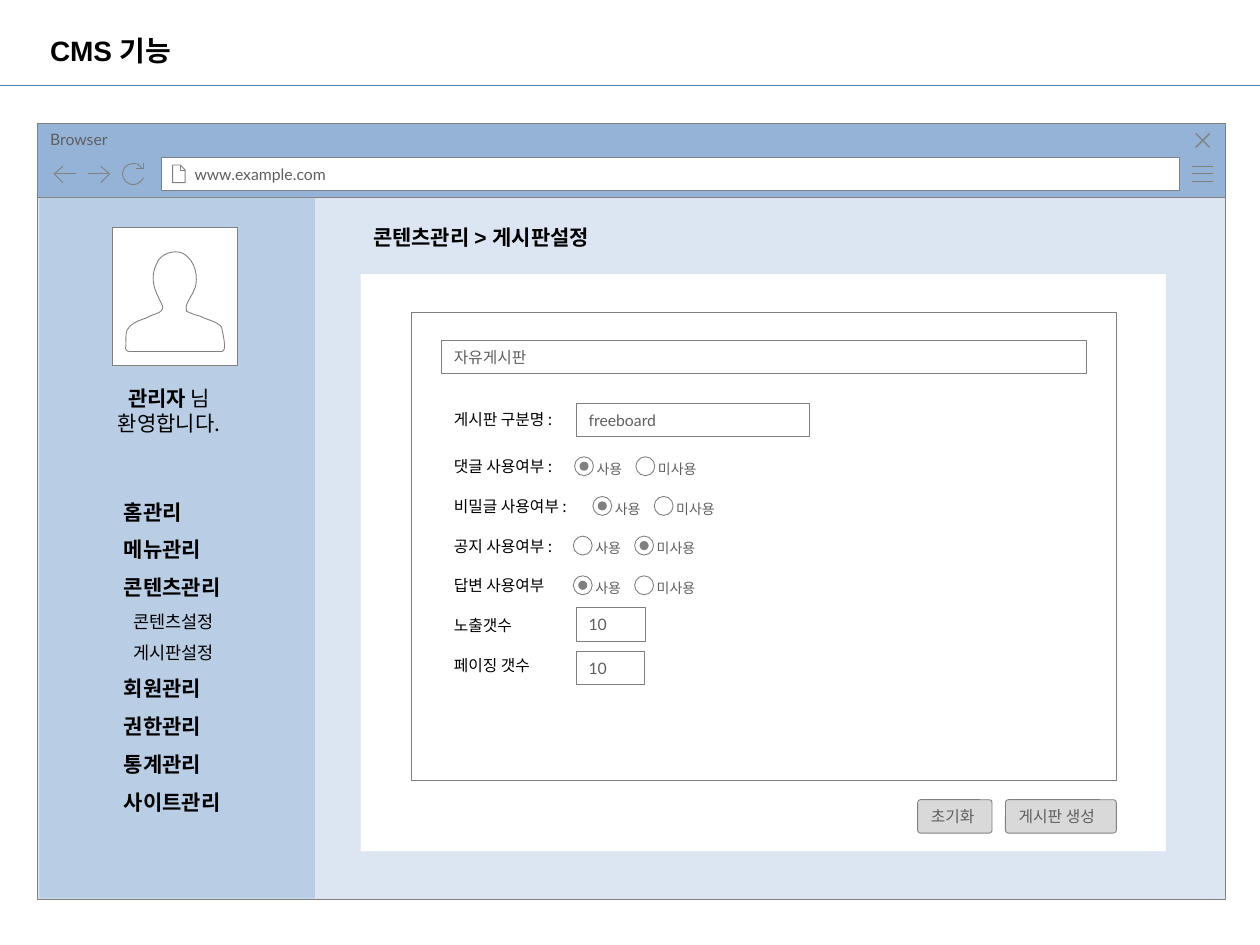
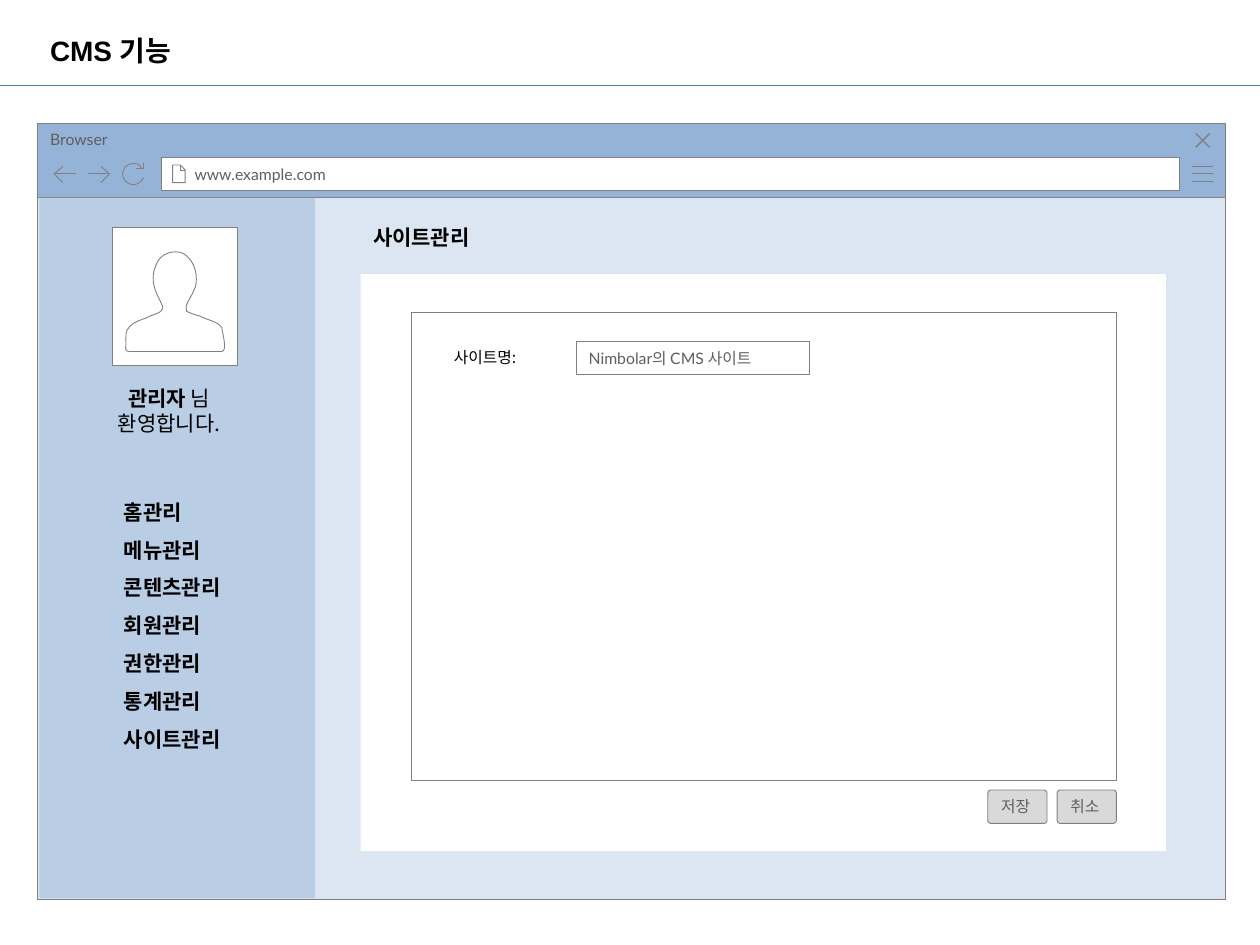
from copy import deepcopy
from lxml import etree
from pptx import Presentation
from pptx import util as u
from pptx.dml.color import RGBColor
from pptx.enum import shapes as kinds, text as txt
from pptx.oxml.ns import qn

WHITE = RGBColor(0xFF, 0xFF, 0xFF)
BLACK = RGBColor(0, 0, 0)
GREY = RGBColor(0x80, 0x80, 0x80)
INK = RGBColor(0x5F, 0x5F, 0x5F)
PAGE = RGBColor(0xDC, 0xE6, 0xF2)
TOOLBAR = RGBColor(0x95, 0xB3, 0xD7)
SIDEBAR = RGBColor(0xB9, 0xCD, 0xE5)
BUTTON = RGBColor(0xD9, 0xD9, 0xD9)
RULE = RGBColor(0x4B, 0x7E, 0xBC)
HANGUL = "Noto Sans CJK KR"
RECT = kinds.MSO_SHAPE.RECTANGLE
ROUND = kinds.MSO_SHAPE.ROUNDED_RECTANGLE
OVAL = kinds.MSO_SHAPE.OVAL

FIELD_TEXT = ("Lato", 9, INK, False)
RADIO_TEXT = ("Lato", 8, INK, False)
LABEL = (HANGUL, 9, BLACK, False)
MENU = (HANGUL, 12, BLACK, True)
SUBMENU = ("Arial", 10, BLACK, False)
WELCOME = (HANGUL, 12, BLACK, False)
HEADING = ("Arial", 12, BLACK, True)
TITLE = ("Arial", 16, BLACK, True)

deck = Presentation()
deck.slide_width, deck.slide_height = u.Inches(10), u.Inches(7.5)
CELL = deck.slide_width // 100


def box(parent, kind, bounds, fill=None, border=GREY, lines=(), fit=False,
        insets=(1, 0.5, 1, 0.5), anchor=txt.MSO_ANCHOR.MIDDLE):
    area = [round(v * CELL) for v in bounds]
    if kind is None:
        shape = parent.add_textbox(*area)
    else:
        shape = parent.add_shape(kind, *area)
        shape.shadow.inherit = False
        shape.fill.solid()
        shape.fill.fore_color.rgb = fill
        if border is None:
            shape.line.fill.background()
        else:
            shape.line.color.rgb = border
            shape.line.width = u.Pt(0.5)
    if not lines:
        return shape
    frame = shape.text_frame
    frame.word_wrap = not fit
    frame.auto_size = txt.MSO_AUTO_SIZE.SHAPE_TO_FIT_TEXT if fit else txt.MSO_AUTO_SIZE.NONE
    frame.vertical_anchor = anchor
    frame.margin_left, frame.margin_top, frame.margin_right, frame.margin_bottom = (
        round(v * CELL) for v in insets)
    for i, line in enumerate(lines):
        paragraph = frame.add_paragraph() if i else frame.paragraphs[0]
        paragraph.alignment = txt.PP_ALIGN.LEFT
        for words, (face, size, colour, bold) in line:
            run = paragraph.add_run()
            run.text = words
            run.font.name, run.font.size, run.font.bold = face, u.Pt(size), bold
            run.font.color.rgb = colour
            etree.SubElement(run.font._element, qn("a:ea")).set("typeface", HANGUL)
    return shape


def trace(parent, strokes, fill=None, weight=0.5):
    builder = None
    curved = []
    for stroke in strokes:
        points = [stroke[0]]
        for segment in stroke[1:]:
            points += zip(segment[::2], segment[1::2])
            curved += [len(segment) == 6] * (len(segment) // 2)
        first, *rest = [(round(x * CELL), round(y * CELL)) for x, y in points]
        if builder is None:
            builder = parent.build_freeform(*first, scale=1.0)
        else:
            builder.move_to(*first)
        builder.add_line_segments(rest, close=fill is not None)
    shape = builder.convert_to_shape()
    steps = [step for step, bent in zip(list(shape.element.iter(qn("a:lnTo"))), curved) if bent]
    for start, middle, end in zip(steps[::3], steps[1::3], steps[2::3]):
        curve = etree.Element(qn("a:cubicBezTo"))
        start.addprevious(curve)
        for step in (start, middle, end):
            curve.append(step[0])
            step.getparent().remove(step)
    shape.shadow.inherit = False
    shape.line.color.rgb = GREY
    shape.line.width = u.Pt(weight)
    if fill is None:
        shape.fill.background()
    else:
        shape.fill.solid()
        shape.fill.fore_color.rgb = fill


MENU_ICON = [[(94.6, y), (96.3, y)] for y in (14.4, 13.8, 13.2)]
CLOSE = [[(96, 10.6), (94.9, 11.7)], [(94.9, 10.6), (96, 11.7)]]
DOCUMENT = [[(14.3, 13.1), (14.3, 13.5), (14.7, 13.5)],
            [(13.7, 13.1), (13.7, 14.5), (14.7, 14.5), (14.7, 13.5), (14.3, 13.1), (13.7, 13.1)]]
BACK = [[(5, 14.5), (4.3, 13.8), (5, 13.2)], [(4.4, 13.8), (6, 13.8)]]
FORWARD = [[(8, 13.2), (8.7, 13.8), (8, 14.5)], [(8.6, 13.8), (7, 13.8)]]
RELOAD = [[(11.4, 12.9), (11.4, 13.4), (10.8, 13.4)],
          [(11.4, 14.1), (11.2, 14.5, 10.7, 14.8, 10.3, 14.6), (9.8, 14.4, 9.6, 13.9, 9.8, 13.5),
           (9.9, 13.1, 10.4, 12.9, 10.9, 13), (11, 13.1, 11.2, 13.2, 11.3, 13.4)]]
PERSON = [[(17.6, 26), (17.3, 25.5, 16.4, 25.4, 15.9, 25.1), (15.5, 25, 15.2, 24.9, 14.8, 24.7),
           (14.6, 24.2, 15.1, 23.8, 15.5, 22.8), (15.7, 22.1, 15.6, 20.7, 14.5, 20.1),
           (13.8, 19.8, 12.7, 20.1, 12.4, 21), (11.7, 22.5, 12.7, 23.7, 12.9, 24.3),
           (13, 24.9, 12.1, 24.9, 11.7, 25.2), (11.2, 25.4, 10.7, 25.5, 10.3, 25.9),
           (9.9, 26.3, 10, 26.7, 10, 27.4), (9.9, 27.7, 10, 27.9, 10.3, 27.9),
           (12.8, 27.9, 14.9, 27.9, 17.6, 27.9), (18.1, 27.9, 17.6, 26.2, 17.6, 26)]]

SECTIONS = ["홈관리", "메뉴관리", "콘텐츠관리", "회원관리", "권한관리", "통계관리", "사이트관리"]
SUBSECTIONS = ["콘텐츠설정", "게시판설정"]
FIRST_ROW, ROW = 35.77, 3.15
LABEL_LEFT, FIELD_LEFT, CONTROL_HEIGHT = 35.04, 45.73, 2.65
board_labels = ["댓글 사용여부 :", "비밀글 사용여부 :", "공지 사용여부 :",
                "답변 사용여부", "노출갯수", "페이징 갯수"]
label_widths = [11.2, 12.5, 10.7, 10, 7.1, 8.8]

screens = [
    dict(heading="콘텐츠관리 > 게시판설정", heading_width=21.3,
         menu=SECTIONS[:3] + SUBSECTIONS + SECTIONS[3:], menu_height=27.3,
         labels=[("게시판 구분명 :", 32, 11.2)] + [
             (words, FIRST_ROW + i * ROW, width)
             for i, (words, width) in enumerate(zip(board_labels, label_widths))],
         fields=[("자유게시판", LABEL_LEFT, 27, 51.2), ("freeboard", FIELD_LEFT, 32, 18.5),
                 ("10", FIELD_LEFT, 48.23, 5.5), ("10", FIELD_LEFT, 51.67, 5.4)],
         radios=[(45.6, 0), (47.05, 0), (45.5, 1), (45.5, 0)],
         buttons=[("초기화", 72.83, 5.9), ("게시판 생성", 79.8, 8.8)], button_top=63.47),
    dict(heading="사이트관리", heading_width=10.4, menu=SECTIONS, menu_height=21.8,
         labels=[("사이트명:", 27.1, 7.8)],
         fields=[("Nimbolar의 CMS 사이트", FIELD_LEFT, 27.1, 18.5)],
         radios=[],
         buttons=[("저장", 78.4, 4.7), ("취소", 83.9, 4.7)], button_top=62.7),
]

layout = deck.slide_layouts[5]
for extra in list(layout.placeholders)[1:]:
    extra.element.getparent().remove(extra.element)
slides = [deck.slides.add_slide(layout) for _ in screens]

browser = slides[0].shapes.add_group_shape()
box(browser.shapes, RECT, (3, 15.7, 94.3, 55.7), PAGE)
box(browser.shapes, RECT, (3, 9.8, 94.3, 5.9), TOOLBAR, lines=[[("Browser", FIELD_TEXT)]],
    anchor=txt.MSO_ANCHOR.TOP, insets=(1, 0.5, 2.5, 0.5))
trace(browser.shapes, MENU_ICON)
trace(browser.shapes, CLOSE, weight=0.75)
box(browser.shapes, RECT, (12.8, 12.5, 80.85, 2.6), WHITE,
    lines=[[("www.example.com", FIELD_TEXT)]], insets=(2.64, 0.5, 1, 0.5))
for icon in (DOCUMENT, BACK, FORWARD, RELOAD):
    trace(browser.shapes, icon)
rule = slides[0].shapes.add_connector(
    kinds.MSO_CONNECTOR.STRAIGHT, deck.slide_width, round(6.8 * CELL), 0, round(6.8 * CELL))
rule.line.color.rgb = RULE
rule.line.width = u.Pt(0.75)
etree.SubElement(rule.element.spPr, qn("a:effectLst"))
for shared in (browser, rule):
    layout.shapes.element.append(shared.element)

for slide, screen in zip(slides, screens):
    canvas = slide.shapes
    title = canvas.title
    title.left, title.top, title.width, title.height = (
        round(v * CELL) for v in (2.97, 1.25, 28.3, 5.5))
    title.text_frame.vertical_anchor = txt.MSO_ANCHOR.MIDDLE
    title.text_frame.paragraphs[0].alignment = txt.PP_ALIGN.LEFT
    name = title.text_frame.paragraphs[0].add_run()
    name.text = "CMS 기능"
    name.font.name, name.font.size, name.font.bold = TITLE[0], u.Pt(TITLE[1]), TITLE[3]
    name.font.color.rgb = TITLE[2]

    box(canvas, RECT, (28.63, 21.75, 63.9, 45.8), WHITE, None)
    box(canvas, RECT, (3.13, 15.7, 21.87, 55.6), SIDEBAR, None)
    avatar = canvas.add_group_shape()
    box(avatar.shapes, RECT, (8.95, 18.05, 9.9, 11), WHITE)
    trace(avatar.shapes, PERSON, WHITE)
    welcome = box(canvas, None, (8, 30.1, 10.85, 5), fit=True, anchor=txt.MSO_ANCHOR.TOP,
                  lines=[[("관리자", MENU), (" 님", WELCOME), ("환영합니다.", WELCOME)]])
    greeting = welcome.text_frame.paragraphs[0]
    greeting.alignment = txt.PP_ALIGN.CENTER
    greeting.add_line_break()
    line_break = greeting._p[-1]
    line_break.append(deepcopy(greeting.runs[-1].font._element))
    greeting.runs[-1]._r.addprevious(line_break)

    menu = box(canvas, None, (8.85, 38.13, 10.4, screen["menu_height"]), fit=True,
               anchor=txt.MSO_ANCHOR.TOP,
               lines=[[(entry, SUBMENU if entry in SUBSECTIONS else MENU)]
                      for entry in screen["menu"]])
    for entry, paragraph in zip(screen["menu"], menu.text_frame.paragraphs):
        paragraph.line_spacing = 1.5
        if entry in SUBSECTIONS:
            paragraph._p.get_or_add_pPr().set("marL", str(round(0.77 * CELL)))

    box(canvas, None, (28.63, 17.3, screen["heading_width"], 3), fit=True,
        lines=[[(screen["heading"], HEADING)]])
    box(canvas, RECT, (32.65, 24.8, 55.95, 37.13), WHITE)
    for words, top, width in screen["labels"]:
        box(canvas, None, (LABEL_LEFT, top, width, 2.5), lines=[[(words, LABEL)]], fit=True,
            anchor=txt.MSO_ANCHOR.TOP)
    for words, left, top, width in screen["fields"]:
        box(canvas, RECT, (left, top, width, CONTROL_HEIGHT), WHITE,
            lines=[[(words, FIELD_TEXT)]], insets=(1, 0.6, 1, 0.6))
    for row, (start, chosen) in enumerate(screen["radios"]):
        top = FIRST_ROW + row * ROW + 0.48
        for i, (words, width) in enumerate([("사용", 3.9), ("미사용", 5)]):
            left = start + 4.87 * i
            radio = canvas.add_group_shape().shapes
            box(radio, OVAL, (left, top, 1.5, 1.5), WHITE)
            if i == chosen:
                box(radio, OVAL, (left + 0.43, top + 0.43, 0.64, 0.64), GREY)
            box(radio, None, (left + 0.95, top - 0.15, width, 2.2), fit=True,
                lines=[[(words, RADIO_TEXT)]], insets=(0.8, 0.4, 0.8, 0.4))
    for words, left, width in screen["buttons"]:
        button = box(canvas, ROUND, (left, screen["button_top"], width, CONTROL_HEIGHT), BUTTON,
                     lines=[[(words, FIELD_TEXT)]], fit=True)
        button.adjustments[0] = 0.09

deck.save("out.pptx")
